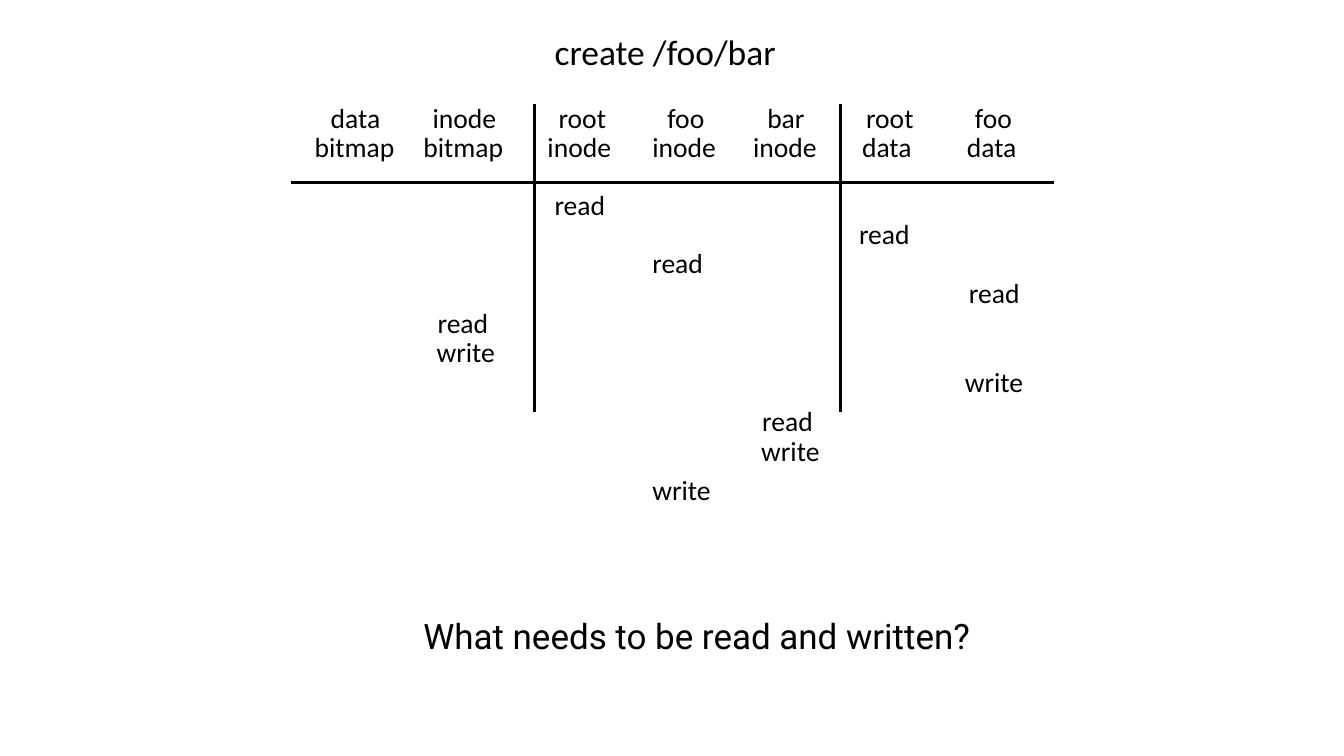
from dataclasses import dataclass

from lxml import etree
from pptx import Presentation
from pptx import util as u
from pptx.dml.color import RGBColor
from pptx.enum import shapes, text
from pptx.oxml import ns

PX = 9144
INK = RGBColor(0x00, 0x00, 0x00)
CELL_HEIGHT = 41
HEADING_TOPS = (96, 125)
WORD_WIDTHS = {
    "data": 59, "inode": 73, "bitmap": 89, "root": 57,
    "foo": 46, "bar": 46, "read": 60, "write": 67,
}


@dataclass(frozen=True)
class Heading:
    words: tuple[str, str]
    lefts: tuple[int, int]


@dataclass(frozen=True)
class Access:
    word: str
    left: int
    top: int


@dataclass(frozen=True)
class Rule:
    start: tuple[int, int]
    end: tuple[int, int]


HEADINGS = (
    Heading(("data", "bitmap"), (324, 308)),
    Heading(("inode", "bitmap"), (425, 416)),
    Heading(("root", "inode"), (550, 539)),
    Heading(("foo", "inode"), (658, 643)),
    Heading(("bar", "inode"), (757, 743)),
    Heading(("root", "data"), (855, 851)),
    Heading(("foo", "data"), (963, 955)),
)
RULES = (
    Rule((289, 181), (1045, 181)),
    Rule((530, 409), (530, 103)),
    Rule((834, 409), (834, 103)),
)
ACCESSES = (
    Access("read", 546, 182),
    Access("read", 848, 211),
    Access("read", 643, 240),
    Access("read", 957, 270),
    Access("read", 430, 299),
    Access("write", 429, 328),
    Access("write", 953, 358),
    Access("read", 752, 397),
    Access("write", 751, 426),
    Access("write", 643, 465),
)


def px(length: int) -> u.Emu:
    return u.Emu(length * PX)


def format_text(shape, wording: str, size: float, font_name: str) -> None:
    frame = shape.text_frame
    frame.text = wording
    frame.word_wrap = False
    frame.auto_size = text.MSO_AUTO_SIZE.SHAPE_TO_FIT_TEXT
    paragraph = frame.paragraphs[0]
    paragraph.alignment = text.PP_ALIGN.LEFT
    font = paragraph.runs[0].font
    font.size = u.Pt(size)
    font.name = font_name
    font.color.rgb = INK


def set_tight(shape) -> None:
    frame = shape.text_frame
    frame.vertical_anchor = text.MSO_ANCHOR.MIDDLE
    frame.margin_left = frame.margin_right = px(4)
    frame.margin_top = frame.margin_bottom = px(4)


def add_word(slide, word: str, left: int, top: int) -> None:
    cell = slide.shapes.add_textbox(
        px(left), px(top), px(WORD_WIDTHS[word]), px(CELL_HEIGHT))
    format_text(cell, word, 19.7, "Calibri")
    set_tight(cell)


def add_rule(slide, rule: Rule) -> None:
    line = slide.shapes.add_connector(
        shapes.MSO_CONNECTOR.STRAIGHT,
        *map(px, rule.start), *map(px, rule.end))
    line.line.color.rgb = INK
    line.line.width = u.Pt(2)
    etree.SubElement(line._element.spPr, ns.qn("a:effectLst"))


def main() -> None:
    deck = Presentation()
    deck.slide_width, deck.slide_height = px(1333), px(750)
    slide = deck.slides.add_slide(deck.slide_layouts[5])

    operation = slide.shapes.title
    operation.left, operation.top = px(546), px(26)
    operation.width, operation.height = px(230), px(50)
    format_text(operation, "create /foo/bar", 25.3, "Calibri")
    set_tight(operation)

    for heading in HEADINGS:
        for word, left, top in zip(heading.words, heading.lefts, HEADING_TOPS):
            add_word(slide, word, left, top)
    for rule in RULES:
        add_rule(slide, rule)
    for access in ACCESSES:
        add_word(slide, access.word, access.left, access.top)

    question = slide.shapes.add_textbox(px(410), px(605), px(576), px(52))
    format_text(question, "What needs to be read and written?", 25, "Roboto")

    deck.save("out.pptx")


if __name__ == "__main__":
    main()
